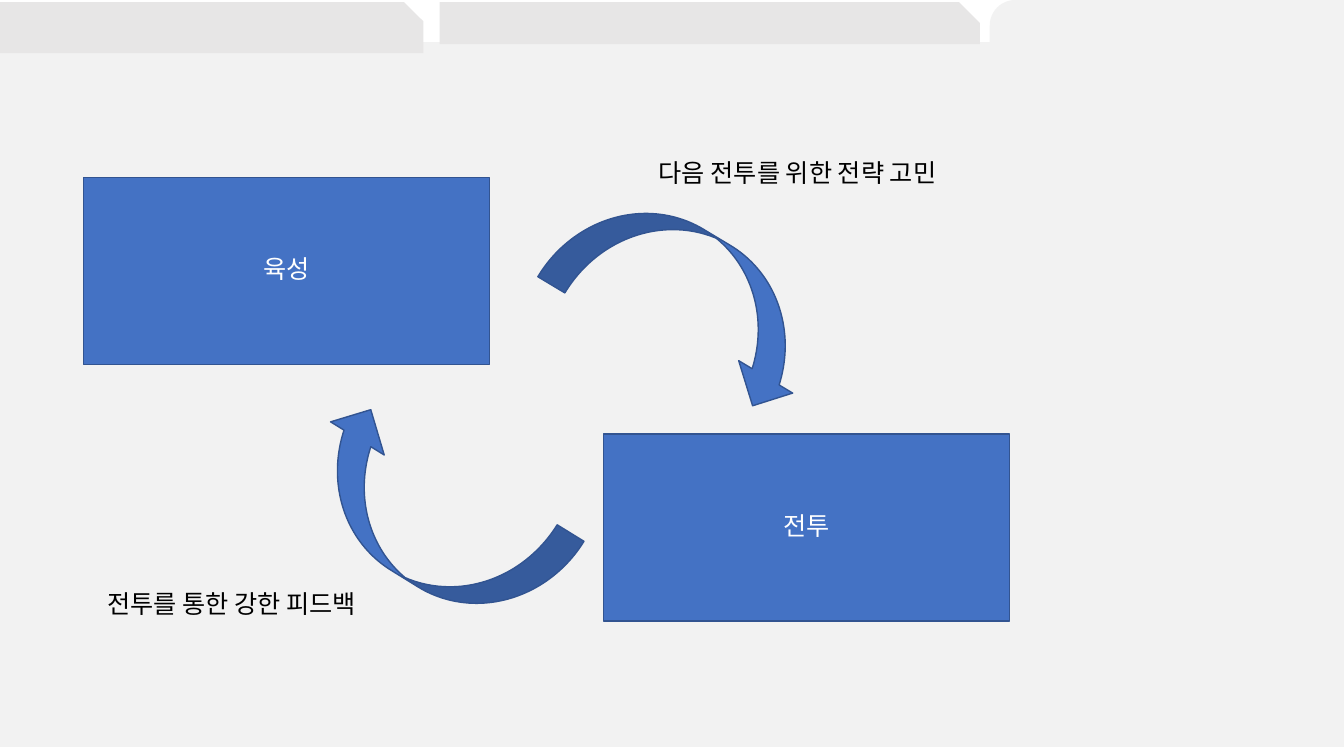
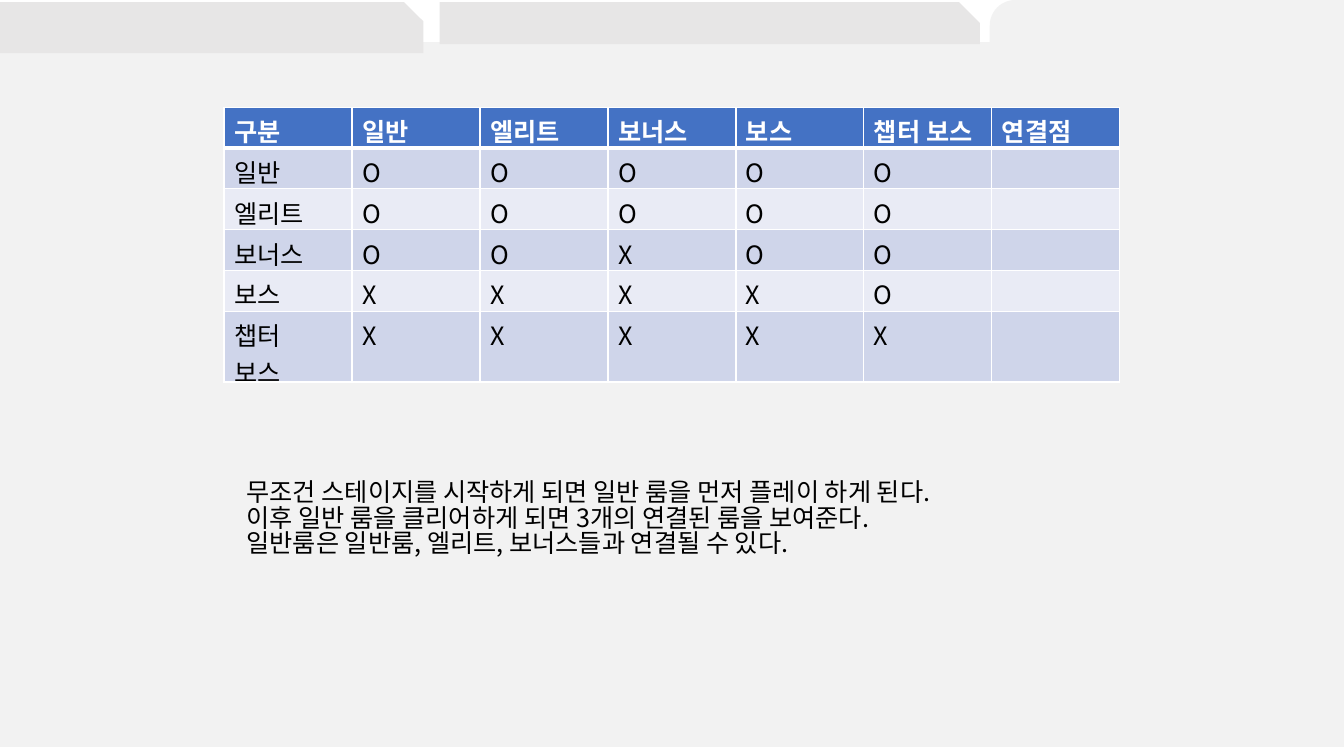
from lxml.etree import SubElement
from pptx import Presentation
from pptx.dml.color import RGBColor
from pptx.enum.shapes import MSO_SHAPE as Preset
from pptx.enum.text import MSO_ANCHOR as Anchor, PP_ALIGN as Align
from pptx.oxml.ns import qn
from pptx.util import Pt

FONT = "Noto Sans CJK KR"
TEXT_SIZE = 18
LINE_SPACING = 0.84
WHITE = RGBColor(0xFF, 0xFF, 0xFF)
BLACK = RGBColor(0x00, 0x00, 0x00)
PAPER = RGBColor(0xF2, 0xF2, 0xF2)
TAB_GREY = RGBColor(0xE7, 0xE6, 0xE6)
BLUE = RGBColor(0x44, 0x72, 0xC4)
DARK_BLUE = RGBColor(0x32, 0x54, 0x91)
ROW_DARK = RGBColor(0xCF, 0xD5, 0xEA)
ROW_LIGHT = RGBColor(0xE9, 0xEB, 0xF5)

ROOMS = ["일반", "엘리트", "보너스", "보스", "챕터 보스"]
LINKS = ["OOOOO", "OOOOO", "OOXOO", "XXXXO", "XXXXX"]
RULES = [
    "무조건 스테이지를 시작하게 되면 일반 룸을 먼저 플레이 하게 된다.",
    "이후 일반 룸을 클리어하게 되면 3개의 연결된 룸을 보여준다.",
    "일반룸은 일반룸, 엘리트, 보너스들과 연결될 수 있다.",
]


def style_text(frame, color, bold=False, align=Align.LEFT, spacing=None):
    """Format every paragraph and run of a text frame."""
    for para in frame.paragraphs:
        para.alignment = align
        if spacing:
            para.line_spacing = spacing
        for span in para.runs:
            span.font.name = FONT
            span.font.size = Pt(TEXT_SIZE)
            span.font.bold = bold
            span.font.color.rgb = color
            SubElement(span.font._element, qn("a:ea"), typeface=FONT)


def add_block(page, preset, box, fill, line=None):
    """Add a flat preset shape in a box of points."""
    block = page.shapes.add_shape(preset, *map(Pt, box))
    block.shadow.inherit = False
    block.fill.solid()
    block.fill.fore_color.rgb = fill
    if line is None:
        block.line.fill.background()
    else:
        block.line.color.rgb = line
        block.line.width = Pt(1)
    return block


def add_stage(page, box, label):
    """Add a blue rectangle with a centred label."""
    stage = add_block(page, Preset.RECTANGLE, box, BLUE, DARK_BLUE)
    stage.text_frame.text = label
    stage.text_frame.vertical_anchor = Anchor.MIDDLE
    style_text(stage.text_frame, WHITE, align=Align.CENTER, spacing=LINE_SPACING)


def add_text(page, box, text):
    """Add a black text box."""
    frame = page.shapes.add_textbox(*map(Pt, box)).text_frame
    frame.word_wrap = True
    frame.text = text
    style_text(frame, BLACK, spacing=LINE_SPACING)


def add_folder_tabs(page, layout):
    """Draw the folder backdrop and move it to the shared layout."""
    body = add_block(page, Preset.FLOWCHART_PROCESS, (0, 30, 960, 503.5), PAPER)
    left = add_block(page, Preset.SNIP_1_RECTANGLE, (0, 1.5, 302.5, 36.5), TAB_GREY)
    left.adjustments[0] = 0.38
    right = add_block(page, Preset.ROUND_1_RECTANGLE, (707, 0, 253, 36.5), PAPER)
    right.adjustments[0] = 0.5
    right.element.spPr.find(qn("a:xfrm")).set("flipH", "1")
    middle = add_block(page, Preset.SNIP_1_RECTANGLE, (314, 1.5, 386, 30), TAB_GREY)
    middle.adjustments[0] = 0.5
    tree = layout.shapes.element
    for holder in list(layout.placeholders):
        tree.remove(holder.element)
    for part in (body, left, right, middle):
        tree.append(part.element)


def add_cycle(page, left, top):
    """Draw the loop between the two stages from its top left corner."""
    width, height = 290, 133.5
    add_stage(page, (left, top, width, height), "육성")
    add_stage(page, (left + 371.5, top + 183, width, height), "전투")
    for dx, dy, turn in ((333.5, 39, 31), (147.5, 200, 211.7)):
        arrow = add_block(page, Preset.CURVED_DOWN_ARROW,
                          (left + dx, top + dy, 201.5, 90), BLUE, DARK_BLUE)
        arrow.rotation = turn
    add_text(page, (left + 404, top - 14.5, 279.5, 29), "다음 전투를 위한 전략 고민")
    add_text(page, (left + 10, top + 293.5, 279.5, 29), "전투를 통한 강한 피드백")


def style_cell(cell, fill, color, header):
    """Give a cell white borders, a fill and its text style."""
    properties = cell._tc.get_or_add_tcPr()
    for side in "LRTB":
        width = Pt(3) if header and side == "B" else Pt(1)
        border = SubElement(properties, qn(f"a:ln{side}"), w=str(width))
        paint = SubElement(border, qn("a:solidFill"))
        SubElement(paint, qn("a:srgbClr"), val=str(WHITE))
    cell.fill.solid()
    cell.fill.fore_color.rgb = fill
    style_text(cell.text_frame, color, bold=header)


def add_room_table(page, left, top, width, row_height):
    """Add the table of which rooms may follow each other."""
    names = ROOMS[:-1] + [ROOMS[-1].replace(" ", "\v")]
    rows = [["구분", *ROOMS, "연결점"]]
    rows += [[name, *marks, ""] for name, marks in zip(names, LINKS)]
    table = page.shapes.add_table(len(rows), len(rows[0]), Pt(left), Pt(top),
                                  Pt(width), Pt(row_height * len(rows))).table
    for r, texts in enumerate(rows):
        header = r == 0
        fill = BLUE if header else ROW_DARK if r % 2 else ROW_LIGHT
        for c, text in enumerate(texts):
            cell = table.cell(r, c)
            cell.text_frame.text = text
            style_cell(cell, fill, WHITE if header else BLACK, header)


def main():
    """Build and save the deck."""
    deck = Presentation()
    deck.slide_width, deck.slide_height = Pt(960), Pt(540)
    layout = deck.slide_layouts[6]

    page = deck.slides.add_slide(layout)
    add_folder_tabs(page, layout)
    add_cycle(page, 59.5, 127)

    page = deck.slides.add_slide(layout)
    add_room_table(page, 160, 76.5, 640, 29.2)
    add_text(page, (169, 340.5, 574, 94.5), "\n".join(RULES))

    deck.save("out.pptx")


if __name__ == "__main__":
    main()
